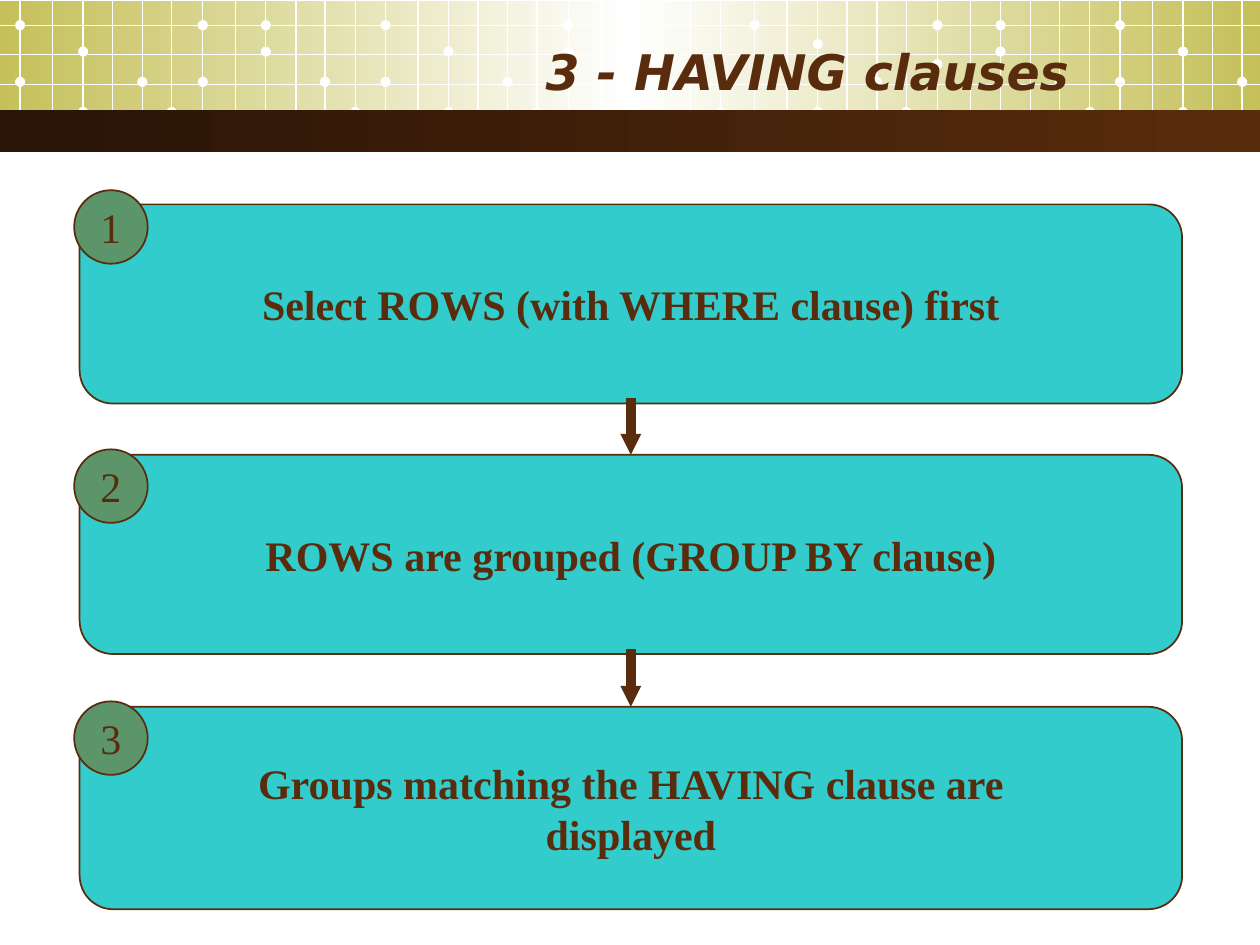
"""Build the HAVING clauses slide: a decorated header above three linked steps."""
from copy import deepcopy

from lxml import etree
from pptx import Presentation
from pptx import util as u
from pptx.dml import color as dml
from pptx.enum import shapes, text
from pptx.oxml import ns

COLORS = {
    "white": "FFFFFF", "olive": "C5C059", "brown": "592C0D",
    "dark": "291406", "teal": "33CCCC", "green": "5B9569",
}
RGB = {name: dml.RGBColor.from_string(value) for name, value in COLORS.items()}
SHAPE = shapes.MSO_SHAPE

presentation = Presentation()
presentation.slide_width, presentation.slide_height = u.Pt(720), u.Pt(540)
slide = presentation.slides.add_slide(presentation.slide_layouts[5])


def add_shape(kind, box, fills, lines=()):
    shape = slide.shapes.add_shape(kind, *map(u.Pt, box))
    shape.shadow.inherit = False
    if len(fills) == 1:
        shape.fill.solid()
        shape.fill.fore_color.rgb = RGB[fills[0]]
    else:
        shape.fill.gradient()
        shape.fill.gradient_angle = 0
        stop_list = shape.element.spPr.find(".//" + ns.qn("a:gsLst"))
        for _ in fills[2:]:
            stop_list.append(deepcopy(stop_list[0]))
        for index, (stop, name) in enumerate(zip(shape.fill.gradient_stops, fills)):
            stop.color.rgb = RGB[name]
            stop.position = index / (len(fills) - 1)
    shape.line.fill.background()
    if box and lines:
        shape.line.color.rgb = RGB["brown"]
        shape.line.width = u.Pt(1)
        frame = shape.text_frame
        frame.word_wrap = False
        frame.vertical_anchor = text.MSO_ANCHOR.MIDDLE
        for index, line in enumerate(lines):
            paragraph = frame.add_paragraph() if index else frame.paragraphs[0]
            paragraph.text = line
            paragraph.alignment = text.PP_ALIGN.CENTER
            paragraph.font.name = "Times New Roman"
            paragraph.font.size = u.Pt(24)
            paragraph.font.color.rgb = RGB["brown"]
    return shape


def add_line(ends, color, width):
    connector = slide.shapes.add_connector(
        shapes.MSO_CONNECTOR.STRAIGHT, *map(u.Pt, ends))
    connector.line.color.rgb = RGB[color]
    connector.line.width = u.Pt(width)
    etree.SubElement(connector.element.spPr, ns.qn("a:effectLst"))
    return connector


add_shape(SHAPE.RECTANGLE, (0, 0.7, 720, 73.4), ["olive", "white", "olive"])

panel_starts = [11.5, 220.3, 431.3, 640]
offsets = [0, 18.5, 36, 52.8, 69.8, 86.6, 104.4, 123.2, 140.4, 157.7, 174.2, 191.5]
columns = [start + offset for start in panel_starts for offset in offsets
           if start + offset < 720]
for x in columns:
    add_line((x, 0.5, x, 79.2), "white", 0.75)
for y in [14.4, 31, 48.2, 64.1]:
    add_line((0, y, 720, y), "white", 0.75)

dot_size = 5.8
dot_columns = {
    14.4: [0, 6, 8, 12, 18, 20, 24, 30, 32, 36],
    25.2: [26],
    29.5: [2, 8, 14, 18, 20, 32, 38],
    36.7: [30],
    46.8: [0, 4, 6, 10, 12, 16, 22, 24, 28, 34, 36, 40],
    64: [2, 5, 11, 14, 17, 23, 26, 29, 35, 38],
}
for y, indexes in dot_columns.items():
    for index in indexes:
        left, top = columns[index] - dot_size / 2, y - dot_size / 2
        add_shape(SHAPE.OVAL, (left, top, dot_size, dot_size), ["white"])

add_shape(SHAPE.RECTANGLE, (0, 63, 720, 24), ["dark", "brown"])

steps = [
    (116.8, 113.8, 108.7, ["Select ROWS (with WHERE clause) first"]),
    (259.9, 113.8, 256.8, ["ROWS are grouped (GROUP BY clause)"]),
    (403.9, 115.7, 400.8, ["Groups matching the HAVING clause are", "displayed"]),
]
boxes = []
for number, (top, height, badge_top, lines) in enumerate(steps, 1):
    box = add_shape(SHAPE.FLOWCHART_ALTERNATE_PROCESS,
                    (45.5, top, 630, height), ["teal"], lines)
    for paragraph in box.text_frame.paragraphs:
        paragraph.font.bold = True
    add_shape(SHAPE.OVAL, (42.4, badge_top, 42, 42), ["green"], [str(number)])
    boxes.append(box)

for upper, lower in zip(boxes, boxes[1:]):
    arrow = add_line((0, 0, 0, 0), "brown", 6)
    arrow.begin_connect(upper, 2)
    arrow.end_connect(lower, 0)
    outline = arrow.element.spPr.find(ns.qn("a:ln"))
    outline.set("cap", "sq")
    etree.SubElement(outline, ns.qn("a:tailEnd"), type="triangle", w="sm", len="sm")

title = slide.shapes.title
title.left, title.top, title.width, title.height = map(u.Pt, (36, 18, 582, 44.6))
title.text_frame.text = "3 - HAVING clauses"
title.text_frame.vertical_anchor = text.MSO_ANCHOR.MIDDLE
paragraph = title.text_frame.paragraphs[0]
paragraph.alignment = text.PP_ALIGN.RIGHT
paragraph.font.name = "DejaVu Sans"
paragraph.font.size = u.Pt(28)
paragraph.font.bold = paragraph.font.italic = True
paragraph.font.color.rgb = RGB["brown"]
title.element.getparent().append(title.element)

presentation.save("out.pptx")
